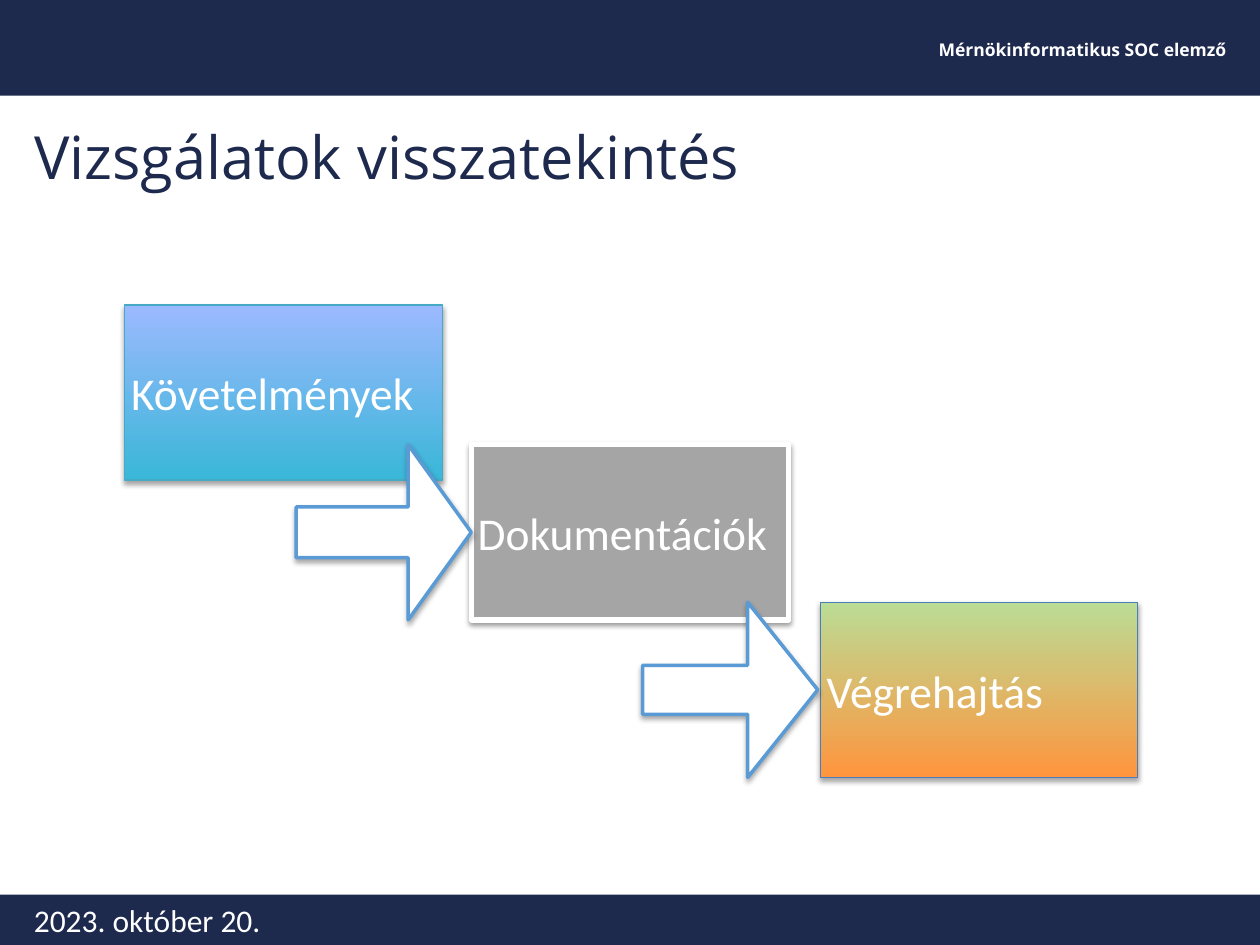
from lxml.etree import SubElement
from pptx import Presentation
from pptx.dml.color import RGBColor
from pptx.enum.shapes import MSO_SHAPE
from pptx.enum.text import MSO_ANCHOR, MSO_AUTO_SIZE, PP_ALIGN
from pptx.oxml.ns import qn
from pptx.util import Inches, Pt

NAVY = RGBColor(0x1D, 0x29, 0x4D)
WHITE = RGBColor(0xFF, 0xFF, 0xFF)
GRAY = RGBColor(0xA5, 0xA5, 0xA5)
CYAN = RGBColor(0x39, 0xB7, 0xD8)
LAVENDER = RGBColor(0x9C, 0xB9, 0xFF)
TEAL = RGBColor(0x46, 0xAA, 0xC4)
ORANGE = RGBColor(0xFF, 0x95, 0x3E)
GREEN = RGBColor(0xBB, 0xDC, 0x95)
BLUE = RGBColor(0x4A, 0x7E, 0xBB)
ARROW_BLUE = RGBColor(0x5B, 0x9B, 0xD5)

STEP_W, STEP_H = 2.52, 1.39
ARROW_SIZE = 1.39


def write_text(shape, text, size, color=WHITE, font="Calibri", bold=False,
               align=PP_ALIGN.LEFT, anchor=MSO_ANCHOR.MIDDLE, inset=None,
               line_spacing=None):
    tf = shape.text_frame
    tf.word_wrap = True
    tf.auto_size = MSO_AUTO_SIZE.NONE
    tf.vertical_anchor = anchor
    if inset is not None:
        tf.margin_left = tf.margin_right = Inches(inset)
        tf.margin_top = tf.margin_bottom = Inches(inset)
    p = tf.paragraphs[0]
    p.alignment = align
    p.line_spacing = line_spacing
    r = p.add_run()
    r.text = text
    r.font.size = Pt(size)
    r.font.name = font
    r.font.bold = bold
    r.font.color.rgb = color


def add_text(s, box, text, size, **fmt):
    write_text(s.shapes.add_textbox(*map(Inches, box)), text, size, **fmt)


def add_filled(s, kind, box, fill, line=None, line_width=0):
    sp = s.shapes.add_shape(kind, *map(Inches, box))
    sp.shadow.inherit = False
    if isinstance(fill, list):
        sp.fill.gradient()
        sp.fill.gradient_angle = 90
        for stop, color in zip(sp.fill.gradient_stops, fill):
            stop.color.rgb = color
    else:
        sp.fill.solid()
        sp.fill.fore_color.rgb = fill
    if line is None:
        sp.line.fill.background()
    else:
        sp.line.color.rgb = line
        sp.line.width = Pt(line_width)
    return sp


def add_shadow(sp, opacity=35, distance=1.8):
    effects = sp.element.spPr.find(qn("a:effectLst"))
    shadow = SubElement(effects, qn("a:outerShdw"), blurRad=str(Pt(3)),
                        dist=str(Pt(distance)), dir="5400000", rotWithShape="0")
    color = SubElement(shadow, qn("a:srgbClr"), val="000000")
    SubElement(color, qn("a:alpha"), val=str(opacity * 1000))


def add_step(s, x, y, text, fill, line, line_width, **shadow):
    sp = add_filled(s, MSO_SHAPE.RECTANGLE, (x, y, STEP_W, STEP_H),
                    fill, line, line_width)
    add_shadow(sp, **shadow)
    write_text(sp, text, 26, inset=0.05)


def add_arrow(s, x, y, shaft, head):
    sp = add_filled(s, MSO_SHAPE.RIGHT_ARROW, (x, y, ARROW_SIZE, ARROW_SIZE),
                    WHITE, ARROW_BLUE, 2)
    sp.adjustments[0] = shaft
    sp.adjustments[1] = head
    add_shadow(sp)


def add_frame(s):
    for top, height in ((0, 0.76), (7.1, 0.4)):
        add_filled(s, MSO_SHAPE.RECTANGLE, (0, top, 10, height), NAVY)
    add_text(s, (5.13, 0.11, 4.7, 0.56), "Mérnökinformatikus SOC elemző", 10,
             font="Open Sans", bold=True, align=PP_ALIGN.RIGHT)
    add_text(s, (0.17, 7.1, 4.78, 0.4), "2023. október 20.", 18,
             anchor=MSO_ANCHOR.TOP)


def add_title(s, text):
    title = s.shapes.title
    title.left, title.top = Inches(0.17), Inches(0.92)
    title.width, title.height = Inches(9.6), Inches(0.66)
    write_text(title, text, 34, color=NAVY, font="Open Sans",
               anchor=MSO_ANCHOR.BOTTOM, line_spacing=0.9)


def main():
    prs = Presentation()
    prs.slide_width, prs.slide_height = Inches(10), Inches(7.5)
    s = prs.slides.add_slide(prs.slide_layouts[5])
    add_frame(s)
    add_title(s, "Vizsgálatok visszatekintés")
    add_step(s, 0.99, 2.42, "Követelmények", [CYAN, LAVENDER], TEAL, 0.75)
    add_step(s, 3.74, 3.53, "Dokumentációk", GRAY, WHITE, 3,
             opacity=38, distance=1.6)
    add_step(s, 6.51, 4.78, "Végrehajtás", [ORANGE, GREEN], BLUE, 0.75)
    add_arrow(s, 2.35, 3.53, 0.29, 0.36)
    add_arrow(s, 5.1, 4.78, 0.28, 0.4)
    prs.save("out.pptx")


if __name__ == "__main__":
    main()
